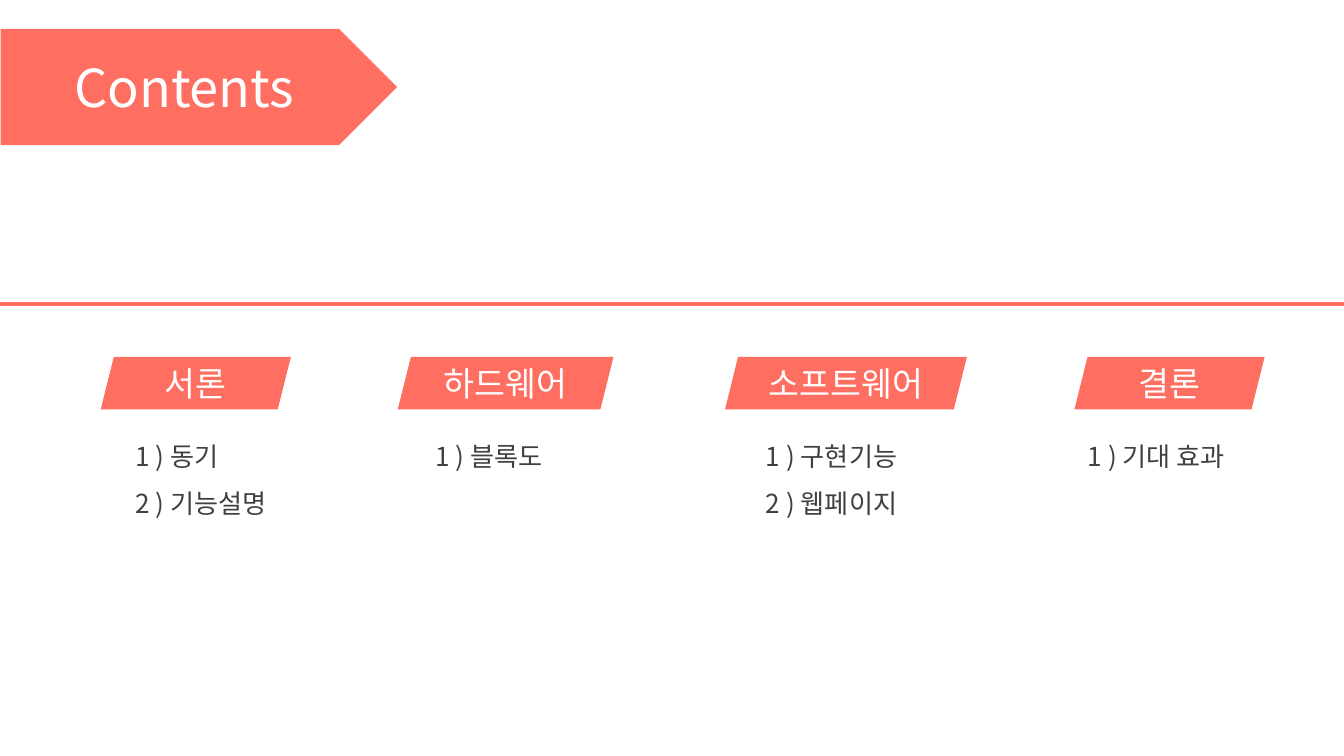
from dataclasses import dataclass

from lxml.etree import SubElement
from pptx import Presentation
from pptx.dml.color import RGBColor
from pptx.enum.shapes import MSO_CONNECTOR, MSO_SHAPE
from pptx.enum.text import MSO_ANCHOR, MSO_AUTO_SIZE, PP_ALIGN
from pptx.oxml.ns import qn
from pptx.util import Pt

EMU_PER_PX = 4572


@dataclass(frozen=True)
class Theme:
    """Colours, font and type sizes of the slide."""
    accent: str = "FF6F61"
    light: str = "FFFFFF"
    dark: str = "404040"
    font: str = "Noto Sans CJK KR"
    title_size: int = 28
    heading_size: int = 18
    item_size: int = 14
    rule_width: float = 2.25
    outline_width: float = 0.75
    outline_alpha: int = 20


THEME = Theme()

SECTIONS = [
    ((150, 531, 283, 78), "서론", (32, 258, 208), ["1 ) 동기", "2 ) 기능설명"]),
    ((592, 531, 321, 78), "하드웨어", (36, 294, 82), ["1 ) 블록도"]),
    ((1079, 531, 360, 78), "소프트웨어", (41, 328, 162), ["1 ) 구현기능", "2 ) 웹페이지"]),
    ((1599, 531, 283, 78), "결론", (0, 258, 90), ["1 ) 기대 효과"]),
]


def px(*lengths):
    """Turn px lengths into a list of EMU."""
    return [length * EMU_PER_PX for length in lengths]


def add_outline(run, color):
    """Give the run a faint text outline."""
    line = SubElement(run.font._element, qn("a:ln"), w=str(Pt(THEME.outline_width)))
    run.font._element.insert(0, line)
    fill = SubElement(line, qn("a:solidFill"))
    tint = SubElement(fill, qn("a:srgbClr"), val=color)
    SubElement(tint, qn("a:alpha"), val=str(THEME.outline_alpha * 1000))


def write_text(shape, lines, *, size, color, align=None, anchor=MSO_ANCHOR.TOP,
               spacing=None, outlined=False):
    """Write one paragraph per line into the shape."""
    frame = shape.text_frame
    frame.word_wrap = True
    frame.vertical_anchor = anchor
    for index, line in enumerate(lines):
        paragraph = frame.add_paragraph() if index else frame.paragraphs[0]
        paragraph.alignment = align
        paragraph.line_spacing = spacing
        run = paragraph.add_run()
        run.text = line
        run.font.size = Pt(size)
        run.font.color.rgb = RGBColor.from_string(color)
        run.font.name = THEME.font
        SubElement(run.font._element, qn("a:ea"), typeface=THEME.font)
        if outlined:
            add_outline(run, color)


def add_label(shapes, preset, box, text, size):
    """Add an accent shape with centred light text."""
    shape = shapes.add_shape(preset, *px(*box))
    shape.shadow.inherit = False
    shape.fill.solid()
    shape.fill.fore_color.rgb = RGBColor.from_string(THEME.accent)
    shape.line.fill.background()
    write_text(shape, [text], size=size, color=THEME.light,
               align=PP_ALIGN.CENTER, anchor=MSO_ANCHOR.MIDDLE)


def add_rule(shapes, left, top, width):
    """Add a horizontal accent rule."""
    rule = shapes.add_connector(MSO_CONNECTOR.STRAIGHT, *px(left, top, left + width, top))
    rule.line.color.rgb = RGBColor.from_string(THEME.accent)
    rule.line.width = Pt(THEME.rule_width)
    SubElement(rule._element.spPr, qn("a:effectLst"))


def add_section(shapes, box, heading, item_area, items):
    """Add a grouped section: a heading and its list below."""
    left, top, _, height = box
    indent, item_width, item_height = item_area
    group = shapes.add_group_shape()
    item_list = group.shapes.add_textbox(
        *px(left + indent, top + height + 13, item_width, item_height))
    write_text(item_list, items, size=THEME.item_size, color=THEME.dark,
               spacing=1.5, outlined=True)
    item_list.text_frame.auto_size = MSO_AUTO_SIZE.SHAPE_TO_FIT_TEXT
    add_label(group.shapes, MSO_SHAPE.PARALLELOGRAM, box, heading, THEME.heading_size)


def build_contents(slide, width):
    """Place the title, the rule and the sections."""
    add_rule(slide.shapes, 0, 452, width)
    add_label(slide.shapes, MSO_SHAPE.PENTAGON, (1, 43, 590, 173), "Contents",
              THEME.title_size)
    for section in SECTIONS:
        add_section(slide.shapes, *section)


def main():
    """Build and save the presentation."""
    presentation = Presentation()
    width, height = 2000, 1125
    presentation.slide_width, presentation.slide_height = px(width, height)
    slide = presentation.slides.add_slide(presentation.slide_layouts[6])
    build_contents(slide, width)
    presentation.save("out.pptx")


if __name__ == "__main__":
    main()
